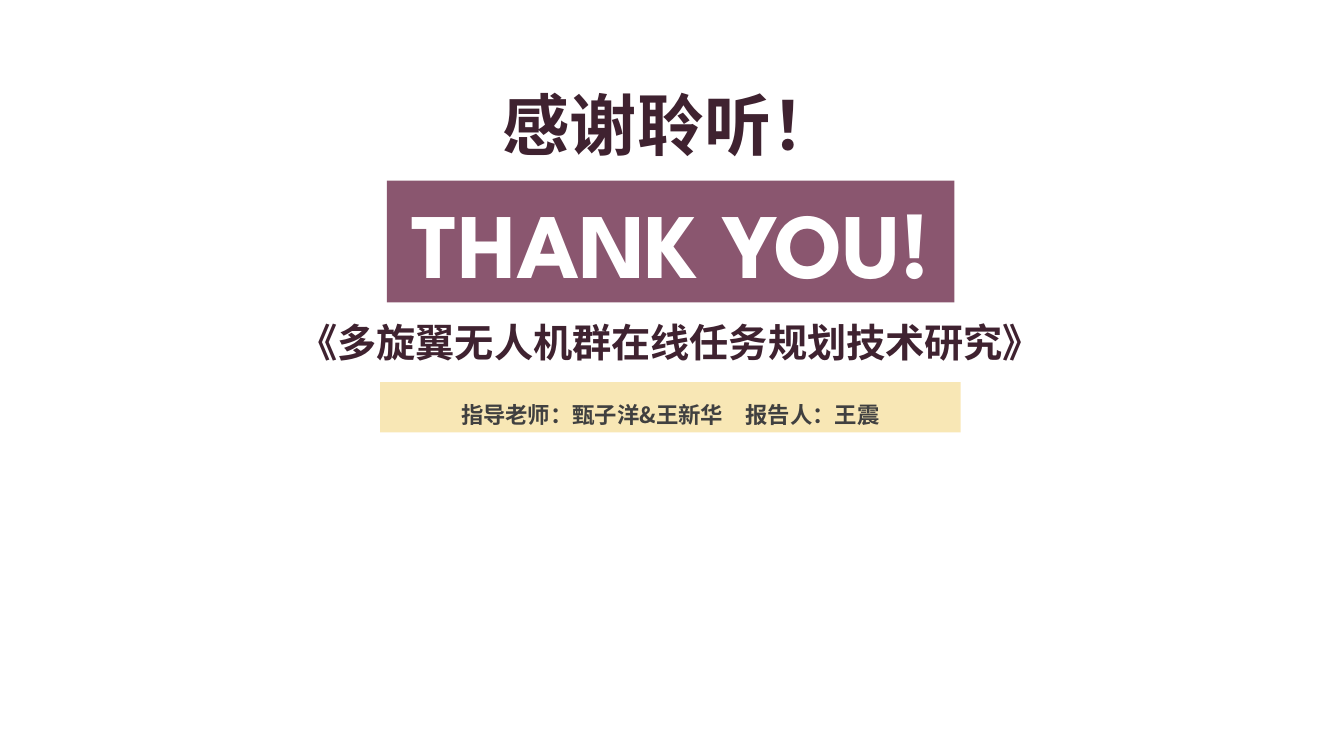
from lxml.etree import SubElement
from pptx import Presentation
from pptx.dml.color import RGBColor
from pptx.enum.shapes import MSO_SHAPE
from pptx.enum.text import MSO_ANCHOR, PP_ALIGN
from pptx.oxml.ns import qn
from pptx.util import Cm, Pt


def tint(code):
    return RGBColor.from_string(code)


class Deck:
    latin = "League Spartan"
    asian = "Noto Sans CJK SC"
    dark = "3F2230"
    plum = "7E4460"
    sand = "F3D06C"
    white = "FFFFFF"
    gray = "404040"

    def __init__(self):
        self.prs = Presentation()
        self.prs.slide_width, self.prs.slide_height = Cm(33.87), Cm(19.05)
        self.slide = self.prs.slides.add_slide(self.prs.slide_layouts[6])

    def letter(self, shape, words, size, color, font, wrap=False, space=1.0):
        """Fill a shape with one centred bold line."""
        frame = shape.text_frame
        frame.text = words
        frame.word_wrap = wrap
        frame.vertical_anchor = MSO_ANCHOR.MIDDLE
        frame.margin_top = frame.margin_bottom = 0
        line = frame.paragraphs[0]
        line.alignment = PP_ALIGN.CENTER
        line.line_spacing = space
        face = line.runs[0].font
        face.size, face.bold, face.name = Pt(size), True, font
        face.color.rgb = tint(color)
        east = SubElement(line.runs[0]._r.rPr, qn("a:ea"))
        east.set("typeface", self.asian)

    def label(self, box, words, size):
        shape = self.slide.shapes.add_textbox(*map(Cm, box))
        self.letter(shape, words, size, self.dark, self.latin)

    def band(self, box, fill, alpha, words, size, color, font, **style):
        """Add a translucent bar with text; alpha is its opacity in percent."""
        shape = self.slide.shapes.add_shape(MSO_SHAPE.RECTANGLE, *map(Cm, box))
        shape.shadow.inherit = False
        shape.line.fill.background()
        shape.fill.solid()
        shape.fill.fore_color.rgb = tint(fill)
        paint = shape._element.spPr.find(qn("a:solidFill"))[0]
        SubElement(paint, qn("a:alpha")).set("val", str(alpha * 1000))
        self.letter(shape, words, size, color, font, **style)


def main():
    deck = Deck()
    deck.label((12.37, 1.96, 9.07, 2.31), "感谢聆听！", 48)
    deck.band((9.75, 4.55, 14.3, 3.07), deck.plum, 90,
              "THANK YOU!", 66, deck.white, deck.latin)
    deck.label((7.16, 7.9, 19.46, 1.45), "《多旋翼无人机群在线任务规划技术研究》", 28)
    deck.band((9.58, 9.63, 14.63, 1.27), deck.sand, 50,
              "指导老师：甄子洋&王新华　报告人：王震", 16, deck.gray, deck.asian,
              wrap=True, space=1.5)
    deck.prs.save("out.pptx")


if __name__ == "__main__":
    main()
